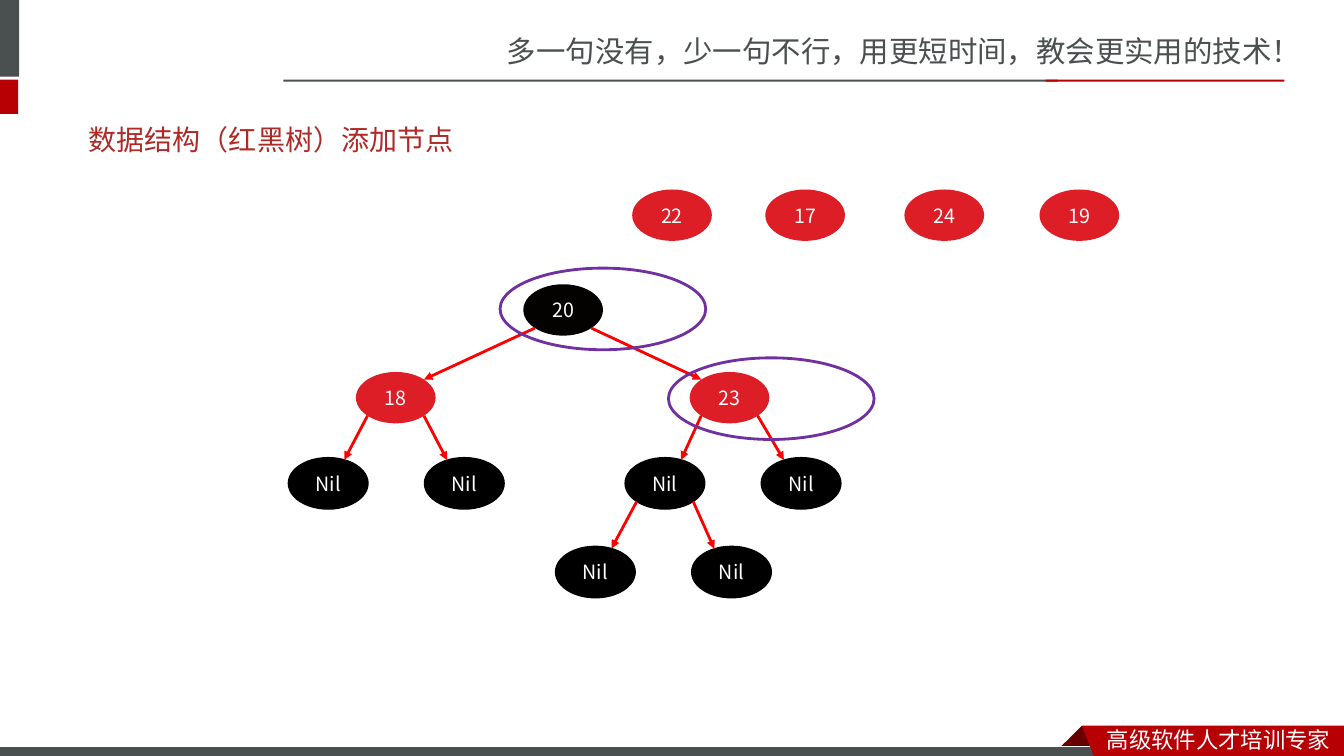
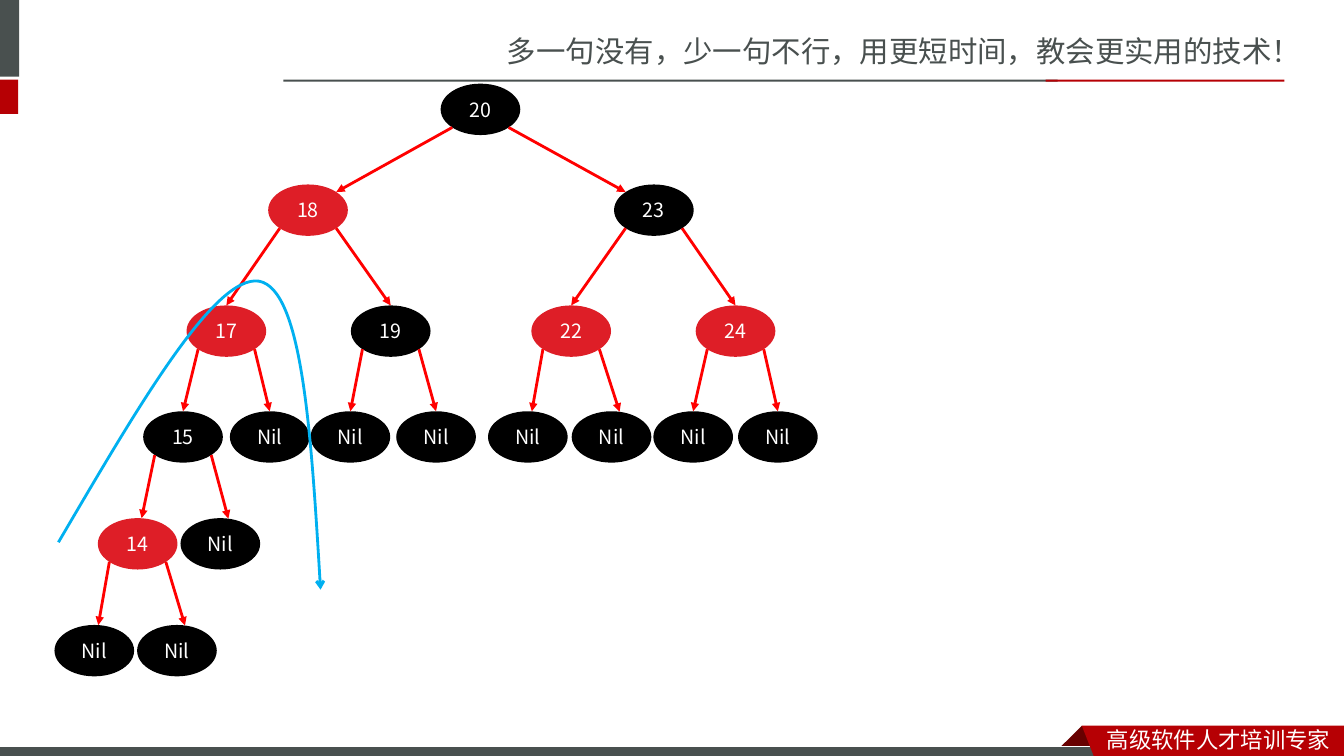
from dataclasses import dataclass
from math import sqrt
from typing import Optional

from pptx import Presentation
from pptx.dml.color import RGBColor
from pptx.enum.shapes import MSO_CONNECTOR, MSO_SHAPE
from pptx.enum.text import MSO_ANCHOR, PP_ALIGN
from pptx.oxml.ns import qn
from pptx.util import Inches, Pt
from lxml.etree import SubElement

HUES = {
    "gray": "49504F", "red": "B60004", "fold": "680000", "white": "FFFFFF",
    "title": "AD2A26", "node": "DE1E27", "black": "000000", "ink": "030200",
    "arrow": "FF0000", "ring": "7030A0", "curve": "00B0F0",
}
FONT = "Noto Sans CJK SC"
WIDE, HIGH = 0.79, 0.51  # node size
SLANT = 0.28  # offset of a node's diagonal edge point from its centre


@dataclass(frozen=True)
class Box:
    x: float
    y: float
    w: float
    h: float

    def emu(self) -> tuple:
        return tuple(Inches(v) for v in (self.x, self.y, self.w, self.h))


@dataclass(frozen=True)
class Bar:
    box: Box
    hue: str
    edge: Optional[str] = None


@dataclass(frozen=True)
class Label:
    text: str
    box: Box
    size: int
    hue: str


@dataclass(frozen=True)
class Node:
    text: str
    x: float
    hue: str
    tip: float = 0  # where the incoming arrow lands, from the centre
    kids: tuple = ()


@dataclass(frozen=True)
class Tree:
    root: Node
    rows: tuple
    rim: float = 0  # outline width of the Nil leaves


# Shared frame
BARS = (
    Bar(Box(-0.06, 0, 0.25, 0.76), "gray"),
    Bar(Box(-0.06, 0.79, 0.24, 0.34), "red"),
    Bar(Box(2.81, 0.79, 7.68, 0.02), "gray"),
    Bar(Box(10.37, 0.79, 2.37, 0.02), "red"),
    Bar(Box(-0.01, 7.41, 11, 0.12), "gray", "white"),
)
FOLD = ((10.73, 7.2), (10.95, 7.42), (10.94, 7.43), (10.52, 7.43), (10.51, 7.42))
FLAG = ((10.73, 7.2), (13.33, 7.2), (13.33, 7.54), (10.86, 7.53))
LABELS = (
    Label("多一句没有，少一句不行，用更短时间，教会更实用的技术！",
          Box(4.93, 0.28, 8.41, 0.47), 21, "gray"),
    Label("高级软件人才培训专家", Box(10.88, 7.15, 2.45, 0.37), 16, "white"),
)


def nil(x: float, tip: float = 0) -> Node:
    return Node("Nil", x, "black", tip)


# Tree before the insertions
FIRST = Tree(
    Node("20", 5.19, "ink", kids=(
        Node("18", 3.53, "node", SLANT, (nil(2.86, 0.16), nil(4.21, -0.17))),
        Node("23", 6.84, "node", -SLANT, (
            Node("Nil", 6.2, "black", 0.16, (nil(5.51, 0.16), nil(6.86, -0.17))),
            nil(7.55, -0.17))),
    )),
    (2.82, 3.69, 4.54, 5.42), rim=1)
QUEUE = (("22", 6.27), ("17", 7.59), ("24", 8.97), ("19", 10.31))
RINGS = (Box(4.96, 2.66, 2.04, 0.81), Box(6.63, 3.55, 2.04, 0.81))

# Tree after the insertions
LAST = Tree(
    Node("20", 4.37, "black", kids=(
        Node("18", 2.66, "node", SLANT, (
            Node("17", 1.85, "node", 0, (
                Node("15", 1.42, "black", 0, (
                    Node("14", 0.97, "node", 0.04,
                         (nil(0.54, 0.04), nil(1.36, 0.08))),
                    nil(1.79, 0.08))),
                nil(2.28))),
            Node("19", 3.48, "black", 0, (nil(3.08), nil(3.93))))),
        Node("23", 6.09, "black", -SLANT, (
            Node("22", 5.27, "node", 0, (nil(4.84, 0.04), nil(5.67, 0.08))),
            Node("24", 6.9, "node", 0, (nil(6.48), nil(7.32))))),
    )),
    (0.83, 1.83, 3.03, 4.08, 5.14, 6.2))
CURVE = ((0.58, 5.38), (1.36, 4.05), (2.13, 2.72), (2.57, 2.79),
         (3, 2.87), (3.09, 4.36), (3.18, 5.85))


def tint(hue: str) -> RGBColor:
    return RGBColor.from_string(HUES[hue])


def paint(shape, fill: Optional[str], edge: Optional[str] = None,
          width: float = 0.75) -> None:
    shape.shadow.inherit = False
    if fill:
        shape.fill.solid()
        shape.fill.fore_color.rgb = tint(fill)
    else:
        shape.fill.background()
    if edge:
        shape.line.color.rgb = tint(edge)
        shape.line.width = Pt(width)
    else:
        shape.line.fill.background()


def style(frame, size: int, hue: str, face: str = FONT) -> None:
    for run in frame.paragraphs[0].runs:
        run.font.size = Pt(size)
        run.font.name = face
        run.font.color.rgb = tint(hue)
        SubElement(run.font._element, qn("a:ea"), typeface=FONT)


def head(line, kind: str) -> None:
    SubElement(line._get_or_add_ln(), qn("a:tailEnd"), type=kind)


def block(slide, kind: MSO_SHAPE, box: Box, fill: Optional[str],
          edge: Optional[str] = None, width: float = 0.75):
    shape = slide.shapes.add_shape(kind, *box.emu())
    paint(shape, fill, edge, width)
    return shape


def shell(slide, spots: tuple, close: bool):
    pts = [(Inches(x), Inches(y)) for x, y in spots]
    form = slide.shapes.build_freeform(*pts[0])
    form.add_line_segments(pts[1:], close=close)
    return form.convert_to_shape()


def write(slide, label: Label) -> None:
    box = slide.shapes.add_textbox(*label.box.emu())
    frame = box.text_frame
    frame.word_wrap = True
    frame.text = label.text
    style(frame, label.size, label.hue)


def oval(slide, text: str, x: float, y: float, hue: str, rim: float = 0) -> None:
    shape = block(slide, MSO_SHAPE.OVAL, Box(x, y, WIDE, HIGH), hue,
                  "black" if rim else None, rim)
    frame = shape.text_frame
    frame.text = text
    frame.vertical_anchor = MSO_ANCHOR.MIDDLE
    frame.paragraphs[0].alignment = PP_ALIGN.CENTER
    style(frame, 14, "white")


def rise(shift: float) -> float:
    """Height of a node's edge above its centre at a sideways shift."""
    return HIGH / 2 * sqrt(1 - (2 * shift / WIDE) ** 2)


def arrow(slide, node: Node, top: float, kid: Node, low: float) -> None:
    side = SLANT if kid.x > node.x else -SLANT
    ends = (node.x + WIDE / 2 + side, top + HIGH / 2 + rise(side),
            kid.x + WIDE / 2 + kid.tip, low + HIGH / 2 - rise(kid.tip))
    link = slide.shapes.add_connector(
        MSO_CONNECTOR.STRAIGHT, *(Inches(v) for v in ends))
    link.line.color.rgb = tint("arrow")
    link.line.width = Pt(2)
    head(link.line, "triangle")
    SubElement(link._element.spPr, qn("a:effectLst"))


def grow(slide, tree: Tree, node: Node, depth: int = 0) -> None:
    top = tree.rows[depth]
    oval(slide, node.text, node.x, top, node.hue,
         tree.rim if node.text == "Nil" else 0)
    for kid in node.kids:
        grow(slide, tree, kid, depth + 1)
        arrow(slide, node, top, kid, tree.rows[depth + 1])


def bend(slide, spots: tuple, hue: str) -> None:
    """Draw a Bezier path: a start, then three points a segment."""
    shape = shell(slide, spots, False)
    paint(shape, None, hue, 2)
    head(shape.line, "arrow")
    steps = list(shape._element.iter(qn("a:lnTo")))
    for first in range(0, len(steps), 3):
        trio = steps[first:first + 3]
        cubic = SubElement(trio[0].getparent(), qn("a:cubicBezTo"))
        for step in trio:
            cubic.append(step[0])
            step.getparent().remove(step)


def frame_up(slide) -> None:
    for bar in BARS[:-1]:
        block(slide, MSO_SHAPE.RECTANGLE, bar.box, bar.hue, bar.edge)
    paint(shell(slide, FOLD, True), "fold")
    base = BARS[-1]
    block(slide, MSO_SHAPE.RECTANGLE, base.box, base.hue, base.edge)
    paint(shell(slide, FLAG, True), "red")
    for label in LABELS:
        write(slide, label)


def name(slide, text: str) -> None:
    title = slide.shapes.title
    title.left, title.top, title.width, title.height = Box(0.78, 1.1, 3.86, 0.57).emu()
    frame = title.text_frame
    frame.text = text
    frame.vertical_anchor = MSO_ANCHOR.MIDDLE
    frame.paragraphs[0].alignment = PP_ALIGN.LEFT
    style(frame, 20, "title", "Calibri")


def main() -> None:
    deck = Presentation()
    deck.slide_width, deck.slide_height = Inches(13.33), Inches(7.5)

    # Nodes waiting to be added
    slide = deck.slides.add_slide(deck.slide_layouts[5])
    frame_up(slide)
    name(slide, "数据结构（红黑树）添加节点")
    grow(slide, FIRST, FIRST.root)
    for ring in RINGS:
        block(slide, MSO_SHAPE.OVAL, ring, None, "ring", 2)
    for text, x in QUEUE:
        oval(slide, text, x, 1.88, "node")

    # Rotation of the grown tree
    slide = deck.slides.add_slide(deck.slide_layouts[6])
    frame_up(slide)
    grow(slide, LAST, LAST.root)
    bend(slide, CURVE, "curve")

    deck.save("out.pptx")


if __name__ == "__main__":
    main()
